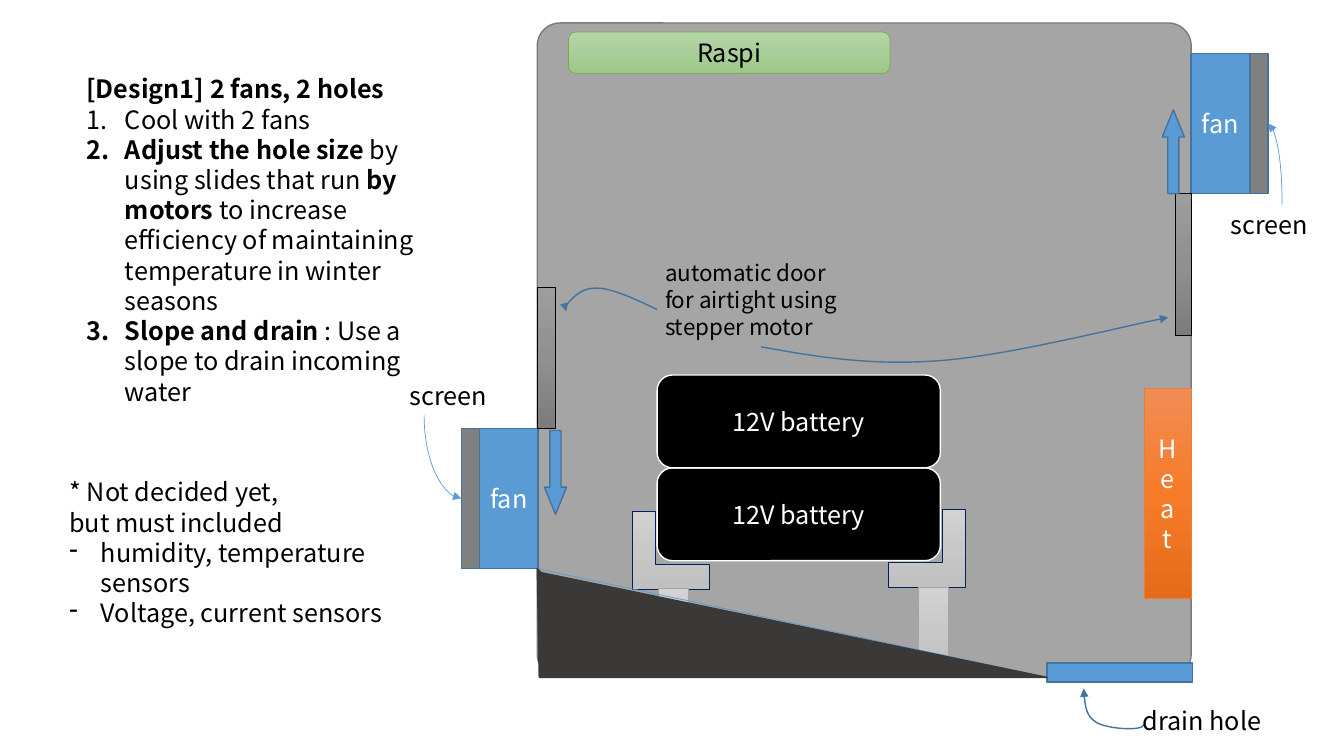
"""Build the slide showing the cooling enclosure with two fans and two holes."""
from copy import deepcopy
from dataclasses import dataclass

from lxml.etree import SubElement
from pptx import Presentation
from pptx.dml.color import RGBColor
from pptx.enum.shapes import MSO_CONNECTOR, MSO_SHAPE
from pptx.enum.text import MSO_ANCHOR, MSO_AUTO_SIZE, PP_ALIGN
from pptx.oxml.ns import qn
from pptx.util import Cm, Pt

FONT = "Noto Sans CJK KR"
BLACK, WHITE = "000000", "FFFFFF"
BLUE, BLUE_EDGE = "5B9BD5", "43739E"
GREEN = ("B5D5A7", "AACE9A", "9CC987")
ORANGE = ("F18C57", "F67B28", "E56C19")
DOOR_GREY = ("9D9D9D", "909090", "7C7C7C")
SUPPORT_GREY = ("D2D2D2", "C8C8C8", "C0C0C0")
RECT, ROUNDED, BRACKET = MSO_SHAPE.RECTANGLE, MSO_SHAPE.ROUNDED_RECTANGLE, MSO_SHAPE.CORNER
Point = tuple[float, float]
Box = tuple[float, float, float, float]


@dataclass
class Part:
    kind: MSO_SHAPE
    box: Box
    fill: str | tuple[str, ...]
    edge: str
    width: float = 1
    lines: tuple[str, ...] = ()
    ink: str = WHITE
    adjust: tuple[float, ...] = ()
    mirrored: bool = False


@dataclass
class Paragraph:
    spans: tuple[tuple[str, bool], ...]
    marker: str = ""
    indent: float = 0


@dataclass
class Note:
    box: Box
    paragraphs: list[Paragraph]
    size: float = 18


def plain(text: str, marker: str = "", indent: float = 0) -> Paragraph:
    return Paragraph(((text, False),), marker, indent)


def numbered(*spans: tuple[str, bool]) -> Paragraph:
    return Paragraph(spans, "1.", 0.97)


FAN_SIZE, SCREEN_SIZE, DOOR_H = (1.47, 3.53), (0.46, 3.53), 3.56
ARROW_SIZE, ARROW_ADJUST = (0.56, 2.11), (0.5, 1.222)
BRACKET_SIZE, BRACKET_ADJUST = (1.96, 1.96), (0.311, 0.303)
POST_SIZE, BATTERY_SIZE = (0.76, 2.16), (7.14, 2.34)

PARTS = [
    Part(ROUNDED, (13.54, 0.58, 16.48, 16.48), "A5A5A5", "7A7A7A", adjust=(0.035,)),
    Part(ROUNDED, (14.33, 0.81, 8.1, 1.04), GREEN, "70AD47", 0.5, ("Raspi",), BLACK),
    *[Part(ROUNDED, (16.56, top, *BATTERY_SIZE), BLACK, WHITE, lines=("12V battery",))
      for top in (11.79, 9.45)],
    *[Part(RECT, (*corner, *FAN_SIZE), BLUE, BLUE_EDGE, lines=("fan",))
      for corner in ((12.09, 10.8), (30.02, 1.35))],
    *[Part(RECT, (*corner, *SCREEN_SIZE), "808080", BLUE_EDGE)
      for corner in ((11.63, 10.8), (31.5, 1.35))],
    Part(RECT, (28.83, 9.78, 1.19, 5.31), ORANGE, "ED7D31", 0.5, ("He", "a", "t")),
    Part(RECT, (26.39, 16.71, 3.66, 0.48), BLUE, BLUE_EDGE),
    Part(RECT, (13.54, 7.24, 0.46, DOOR_H), DOOR_GREY, BLACK, 0.5),
    Part(RECT, (29.62, 4.88, 0.41, DOOR_H), DOOR_GREY, BLACK, 0.5),
    Part(MSO_SHAPE.DOWN_ARROW, (13.72, 10.85, *ARROW_SIZE), BLUE, BLUE_EDGE, adjust=ARROW_ADJUST),
    Part(MSO_SHAPE.UP_ARROW, (29.29, 2.77, *ARROW_SIZE), BLUE, BLUE_EDGE, adjust=ARROW_ADJUST),
    Part(BRACKET, (15.93, 12.88, *BRACKET_SIZE), SUPPORT_GREY, "002060", 0.5,
         adjust=BRACKET_ADJUST),
    Part(BRACKET, (22.38, 12.83, *BRACKET_SIZE), SUPPORT_GREY, "002060", 0.5,
         adjust=BRACKET_ADJUST, mirrored=True),
    *[Part(RECT, (*corner, *POST_SIZE), SUPPORT_GREY, "A5A5A5", 0.5)
      for corner in ((16.59, 14.83), (23.14, 14.81))],
]

NOTES = [
    Note((10.08, 9.45, 3.1, 1.02), [plain("screen")]),
    Note((30.76, 5.16, 3.1, 1.02), [plain("screen")]),
    Note((28.55, 17.65, 4.45, 1.02), [plain("drain hole")]),
    Note((16.51, 6.4, 5.31, 2.31),
         [plain("automatic door for airtight using stepper motor")], 16),
    Note((1.93, 1.73, 9.07, 8.71), [
        Paragraph((("[Design1] 2 fans, 2 holes", True),)),
        numbered(("Cool with 2 fans", False)),
        numbered(("Adjust the hole size ", True), ("by using slides that run ", False),
                 ("by motors ", True),
                 ("to increase efficiency of maintaining temperature in winter seasons", False)),
        numbered(("Slope and drain ", True), (": Use a slope to drain incoming water", False)),
    ]),
    Note((1.5, 11.89, 10.06, 4.88), [
        plain("* Not decided yet, \nbut must included"),
        plain("humidity, temperature sensors", "-", 0.79),
        plain("Voltage, current sensors", "-", 0.79),
    ]),
]

SLOPE = ((13.54, 14.33), (26.42, 17.07))
FLOOR = [(13.54, 14.33), (13.59, 17.07), (26.39, 17.07), (13.64, 14.43)]
SCREEN_POINTERS = [((11.63, 12.56), (10.69, 10.46)), ((31.96, 3.11), (32.31, 5.16))]
CURVED_POINTERS = [
    [(16.56, 7.8), (15.98, 7.52), (15.37, 7.24), (14.99, 7.26),
     (14.61, 7.26), (13.97, 7.95), (14.27, 7.85)],
    [(19.18, 8.74), (20.55, 8.99), (21.95, 9.22), (23.65, 9.09),
     (25.37, 8.97), (28.47, 8.18), (29.44, 8)],
    [(28.83, 18.26), (28.78, 18.44), (27.89, 18.36), (27.64, 18.21),
     (27.38, 18.06), (27.33, 17.7), (27.31, 17.35)],
]


def color(value: str) -> RGBColor:
    return RGBColor.from_string(value)


def paint(shape, fill: str | tuple[str, ...] | None, edge: str, width: float) -> None:
    shape.shadow.inherit = False
    if fill is None:
        shape.fill.background()
    elif isinstance(fill, str):
        shape.fill.solid()
        shape.fill.fore_color.rgb = color(fill)
    else:
        shape.fill.gradient()
        shape.fill.gradient_angle = 270
        stops = next(shape.element.spPr.iter(qn("a:gsLst")))
        stops.insert(1, deepcopy(stops[0]))
        for index, stop in enumerate(shape.fill.gradient_stops):
            stop.position = index / 2
            stop.color.rgb = color(fill[index])
    shape.line.color.rgb = color(edge)
    shape.line.width = Pt(width)


def write(frame, paragraphs: list[Paragraph], *, size: float = 18, ink: str = BLACK,
          align=PP_ALIGN.LEFT, anchor=MSO_ANCHOR.TOP) -> None:
    frame.word_wrap = True
    frame.vertical_anchor = anchor
    for index, content in enumerate(paragraphs):
        paragraph = frame.paragraphs[0] if index == 0 else frame.add_paragraph()
        paragraph.alignment = align
        if content.marker:
            properties = paragraph._p.get_or_add_pPr()
            properties.set("marL", str(Cm(content.indent)))
            properties.set("indent", str(-Cm(content.indent)))
            if content.marker == "1.":
                SubElement(properties, qn("a:buAutoNum"), type="arabicPeriod")
            else:
                SubElement(properties, qn("a:buChar"), char=content.marker)
        for text, bold in content.spans:
            for row, piece in enumerate(text.split("\n")):
                if row:
                    paragraph.add_line_break()
                run = paragraph.add_run()
                run.text = piece
                run.font.name, run.font.size, run.font.bold = FONT, Pt(size), bold
                run.font.color.rgb = color(ink)


def draw_part(shapes, part: Part) -> None:
    shape = shapes.add_shape(part.kind, *map(Cm, part.box))
    for index, value in enumerate(part.adjust):
        shape.adjustments[index] = value
    if part.mirrored:
        shape.element.spPr.find(qn("a:xfrm")).set("flipH", "1")
    paint(shape, part.fill, part.edge, part.width)
    if part.lines:
        write(shape.text_frame, [plain(line) for line in part.lines], ink=part.ink,
              align=PP_ALIGN.CENTER, anchor=MSO_ANCHOR.MIDDLE)


def draw_note(shapes, note: Note) -> None:
    frame = shapes.add_textbox(*map(Cm, note.box)).text_frame
    write(frame, note.paragraphs, size=note.size)
    frame.auto_size = MSO_AUTO_SIZE.SHAPE_TO_FIT_TEXT


def draw_connector(shapes, kind: MSO_CONNECTOR, start: Point, end: Point):
    connector = shapes.add_connector(kind, *map(Cm, start + end))
    connector.line.color.rgb = color(BLUE)
    connector.line.width = Pt(0.5)
    SubElement(connector.element.spPr, qn("a:effectLst"))
    return connector


def draw_screen_pointer(shapes, tip: Point, label: Point) -> None:
    pointer = draw_connector(shapes, MSO_CONNECTOR.CURVE, tip, label)
    pointer.element.spPr.find(qn("a:prstGeom")).set("prst", "curvedConnector2")
    SubElement(pointer.line._get_or_add_ln(), qn("a:headEnd"), type="triangle")


def outline(shapes, points: list[Point], close: bool):
    start, *rest = [(Cm(x), Cm(y)) for x, y in points]
    builder = shapes.build_freeform(*start)
    builder.add_line_segments(rest, close=close)
    return builder.convert_to_shape()


def draw_curved_pointer(shapes, points: list[Point]) -> None:
    pointer = outline(shapes, points, False)
    paint(pointer, None, BLUE_EDGE, 1)
    SubElement(pointer.line._get_or_add_ln(), qn("a:tailEnd"), type="triangle")
    segments = list(pointer.element.spPr.iter(qn("a:lnTo")))
    for first in range(0, len(segments), 3):
        curve = SubElement(segments[first].getparent(), qn("a:cubicBezTo"))
        for segment in segments[first:first + 3]:
            curve.append(segment[0])
            segment.getparent().remove(segment)


def main() -> None:
    deck = Presentation()
    deck.slide_width, deck.slide_height = Cm(33.87), Cm(19.05)
    shapes = deck.slides.add_slide(deck.slide_layouts[6]).shapes
    for part in PARTS:
        draw_part(shapes, part)
    draw_connector(shapes, MSO_CONNECTOR.STRAIGHT, *SLOPE)
    paint(outline(shapes, FLOOR, True), "3B3838", "3B3838", 1)
    for tip, label in SCREEN_POINTERS:
        draw_screen_pointer(shapes, tip, label)
    for points in CURVED_POINTERS:
        draw_curved_pointer(shapes, points)
    for note in NOTES:
        draw_note(shapes, note)
    deck.save("out.pptx")


if __name__ == "__main__":
    main()
